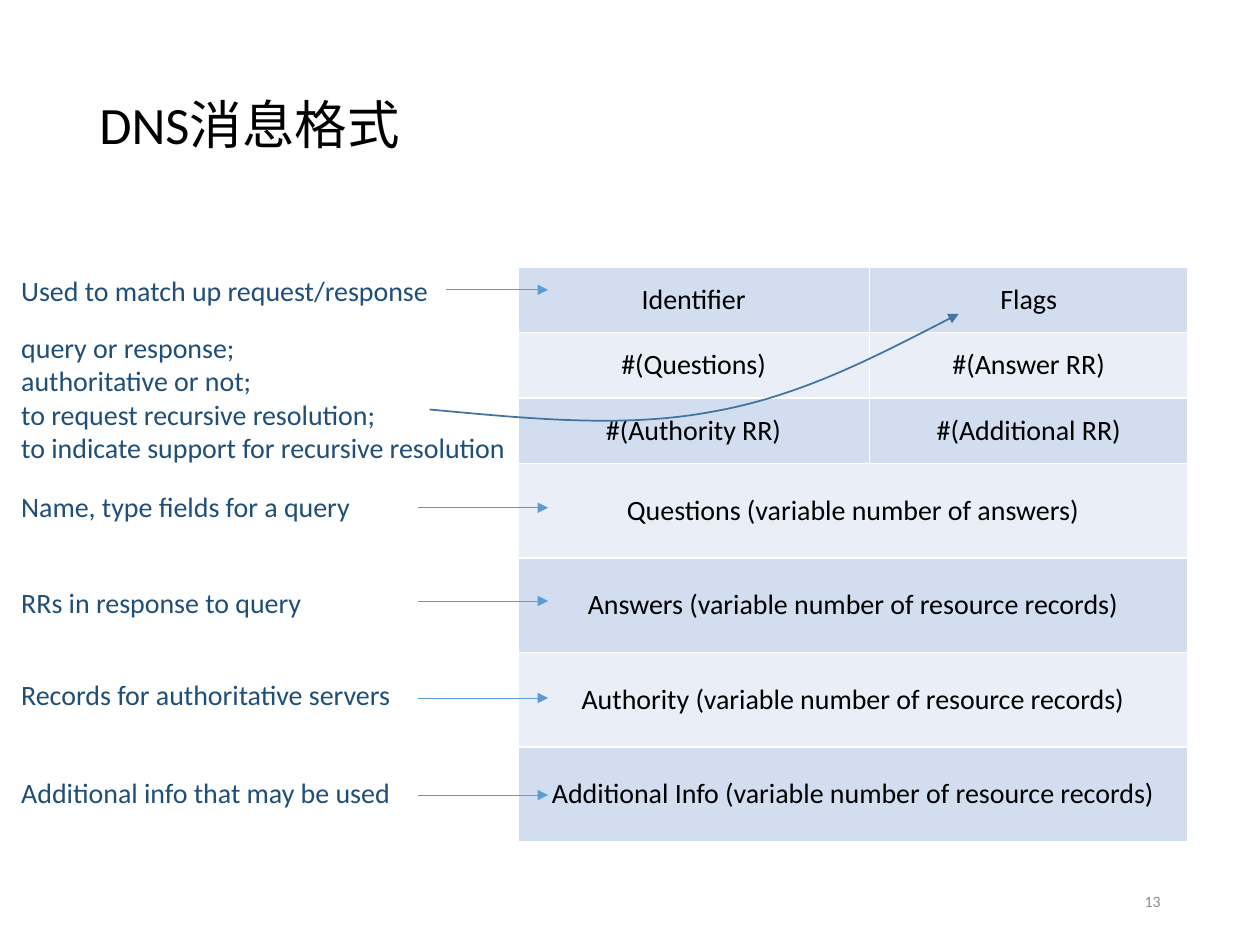
from dataclasses import dataclass

from lxml.etree import SubElement
from pptx import Presentation
from pptx.dml.color import RGBColor
from pptx.enum.shapes import MSO_CONNECTOR
from pptx.enum.text import MSO_ANCHOR, MSO_AUTO_SIZE, PP_ALIGN
from pptx.oxml.ns import qn
from pptx.util import Inches, Pt


@dataclass(frozen=True)
class Theme:
    font: str = "Calibri"
    title_size: int = 30
    body_size: int = 16
    number_size: int = 9
    black: str = "000000"
    grey: str = "8C8C8C"
    label: str = "1F4E79"
    arrow: str = "5B9BD5"
    curve: str = "43739E"
    border: str = "FFFFFF"
    bands: tuple = ("D2DEEF", "EAEFF7")


THEME = Theme()
WIDTH, HEIGHT = 10, 7.5

# Message table: two columns, three short rows and four tall ones
TABLE_LEFT, TABLE_TOP = 4.11, 2.12
COLUMNS = (2.79, 2.53)
FIELDS = [
    ("Identifier", "Flags"),
    ("#(Questions)", "#(Answer RR)"),
    ("#(Authority RR)", "#(Additional RR)"),
    ("Questions (variable number of answers)",),
    ("Answers (variable number of resource records)",),
    ("Authority (variable number of resource records)",),
    ("Additional Info (variable number of resource records)",),
]
ROW_HEIGHTS = {2: 0.52, 1: 0.75}

# Notes beside the table: text, top, arrow start, arrow height
LABEL_LEFT, LABEL_HEIGHT = 0.07, 0.37
ARROW_START, ARROW_END = 3.32, 4.35
NOTES = [
    ("Used to match up request/response", 2.12, 3.54, 2.3),
    ("Name, type fields for a query", 3.84, ARROW_START, 4.03),
    ("RRs in response to query", 4.6, ARROW_START, 4.77),
    ("Records for authoritative servers", 5.33, ARROW_START, 5.54),
    ("Additional info that may be used", 6.11, ARROW_START, 6.31),
]
FLAG_NOTES = [
    "query or response;",
    "authoritative or not;",
    "to request recursive resolution;",
    "to indicate support for recursive resolution",
]
# A start point, then two control points and an end point for each curve part
FLAG_CURVE = [(3.41, 3.25), (4.17, 3.32), (4.94, 3.4), (5.64, 3.27),
              (6.34, 3.15), (6.97, 2.82), (7.61, 2.49)]


def add_run(paragraph, text, size, color):
    run = paragraph.add_run()
    run.text = text
    run.font.name = THEME.font
    run.font.size = Pt(size)
    run.font.color.rgb = RGBColor.from_string(color)


def add_text(slide, box, lines, size, color, align=PP_ALIGN.LEFT,
             anchor=MSO_ANCHOR.TOP, wrap=True, spacing=None):
    shape = slide.shapes.add_textbox(*map(Inches, box))
    frame = shape.text_frame
    frame.word_wrap = wrap
    frame.auto_size = MSO_AUTO_SIZE.NONE
    frame.vertical_anchor = anchor
    for index, line in enumerate(lines):
        paragraph = frame.add_paragraph() if index else frame.paragraphs[0]
        paragraph.alignment = align
        paragraph.line_spacing = spacing
        add_run(paragraph, line, size, color)


def style_line(shape, color, width):
    """Give a line its colour, width and arrowhead, without a shadow."""
    shape.line.color.rgb = RGBColor.from_string(color)
    shape.line.width = Pt(width)
    properties = shape.line._get_or_add_ln()
    SubElement(properties, qn("a:tailEnd"), type="triangle")


def add_arrow(slide, start, end, y):
    connector = slide.shapes.add_connector(
        MSO_CONNECTOR.STRAIGHT, *map(Inches, (start, y, end, y)))
    style_line(connector, THEME.arrow, 0.5)
    SubElement(connector._element.spPr, qn("a:effectLst"))


def add_curve(slide, points):
    start, *rest = [(Inches(x), Inches(y)) for x, y in points]
    builder = slide.shapes.build_freeform(*start)
    builder.add_line_segments(rest, close=False)
    shape = builder.convert_to_shape()
    shape.fill.background()
    shape.shadow.inherit = False
    style_line(shape, THEME.curve, 1)
    # Turn each three straight segments into one cubic curve
    outline = next(shape._element.iter(qn("a:moveTo"))).getparent()
    segments = outline.findall(qn("a:lnTo"))
    for first in range(0, len(segments), 3):
        cubic = SubElement(outline, qn("a:cubicBezTo"))
        for segment in segments[first:first + 3]:
            cubic.append(segment[0])
            outline.remove(segment)


def style_cell(cell, fill):
    cell.fill.solid()
    cell.fill.fore_color.rgb = RGBColor.from_string(fill)
    cell.vertical_anchor = MSO_ANCHOR.MIDDLE
    properties = cell._tc.get_or_add_tcPr()
    # Borders come before the fill
    for position, side in enumerate(("lnL", "lnR", "lnT", "lnB")):
        border = SubElement(properties, qn(f"a:{side}"), w=str(Pt(1)))
        solid = SubElement(border, qn("a:solidFill"))
        SubElement(solid, qn("a:srgbClr"), val=THEME.border)
        properties.insert(position, border)


def add_message_table(slide):
    heights = [ROW_HEIGHTS[len(fields)] for fields in FIELDS]
    box = (TABLE_LEFT, TABLE_TOP, sum(COLUMNS), sum(heights))
    table = slide.shapes.add_table(
        len(FIELDS), len(COLUMNS), *map(Inches, box)).table
    table.first_row = table.horz_banding = False
    for column, width in zip(table.columns, COLUMNS):
        column.width = Inches(width)
    for index, fields in enumerate(FIELDS):
        table.rows[index].height = Inches(heights[index])
        for column in range(len(COLUMNS)):
            style_cell(table.cell(index, column), THEME.bands[index % 2])
        if len(fields) == 1:
            table.cell(index, 0).merge(table.cell(index, 1))
        for column, field in enumerate(fields):
            paragraph = table.cell(index, column).text_frame.paragraphs[0]
            paragraph.alignment = PP_ALIGN.CENTER
            add_run(paragraph, field, THEME.body_size, THEME.black)


def main():
    presentation = Presentation()
    presentation.slide_width = Inches(WIDTH)
    presentation.slide_height = Inches(HEIGHT)
    slide = presentation.slides.add_slide(presentation.slide_layouts[6])

    # Title and slide number
    add_text(slide, (0.69, 0.4, 8.62, 1.23), ["DNS消息格式"], THEME.title_size,
             THEME.black, anchor=MSO_ANCHOR.MIDDLE, spacing=0.9)
    add_text(slide, (7.06, 6.95, 2.25, 0.4), ["13"], THEME.number_size,
             THEME.grey, PP_ALIGN.RIGHT, MSO_ANCHOR.MIDDLE)

    add_message_table(slide)

    # Notes with their arrows
    for text, top, start, arrow_y in NOTES:
        add_text(slide, (LABEL_LEFT, top, start - LABEL_LEFT, LABEL_HEIGHT),
                 [text], THEME.body_size, THEME.label, wrap=False)
        add_arrow(slide, start, ARROW_END, arrow_y)

    # Note on the flags with its curved arrow
    add_text(slide, (LABEL_LEFT, 2.57, 4.18, 1.18), FLAG_NOTES,
             THEME.body_size, THEME.label)
    add_curve(slide, FLAG_CURVE)

    presentation.save("out.pptx")


if __name__ == "__main__":
    main()
